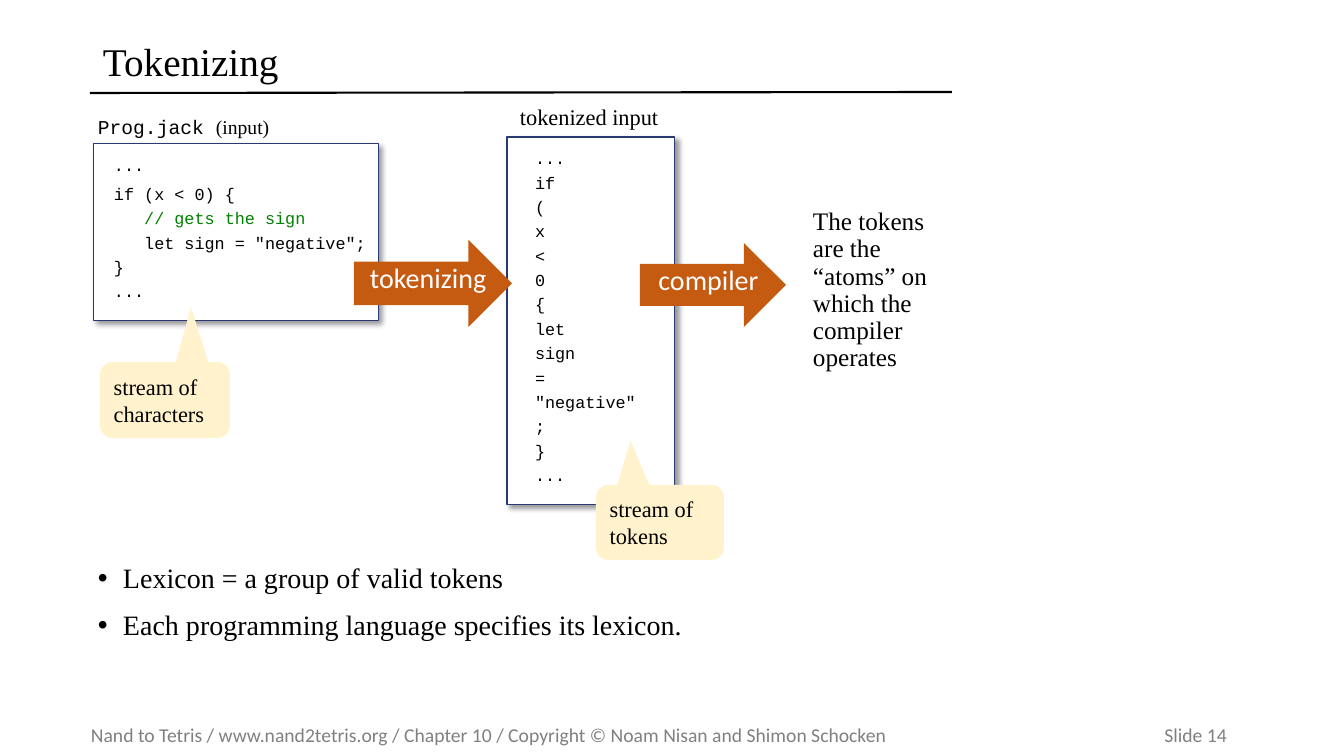
from lxml.etree import SubElement
from pptx import Presentation
from pptx.dml.color import RGBColor
from pptx.enum.shapes import MSO_CONNECTOR, MSO_SHAPE
from pptx.enum.text import MSO_ANCHOR, PP_ALIGN
from pptx.oxml.ns import qn
from pptx.util import Emu, Pt

BLACK = RGBColor(0x00, 0x00, 0x00)
WHITE = RGBColor(0xFF, 0xFF, 0xFF)
GRAY = RGBColor(0x80, 0x80, 0x80)
GREEN = RGBColor(0x00, 0x80, 0x00)
NAVY = RGBColor(0x29, 0x39, 0x73)
ORANGE = RGBColor(0xC5, 0x5A, 0x11)
CREAM = RGBColor(0xFF, 0xF2, 0xCC)
SERIF, MONO, SANS = "Times New Roman", "Courier New", "Calibri"

TITLE = "Tokenizing"
SOURCE_CODE = [
    "...",
    "if (x < 0) {",
    "   // gets the sign",
    '   let sign = "negative";',
    "}",
    "...",
]
TOKENS = ["...", "if", "(", "x", "<", "0", "{", "let", "sign", "=",
          '"negative"', ";", "}", "..."]
BULLETS = ["Lexicon = a group of valid tokens",
           "Each programming language specifies its lexicon."]
NOTE = "The tokens\nare the “atoms” on which the compiler operates"
FOOTER = ("Nand to Tetris / www.nand2tetris.org / Chapter 10 / "
          "Copyright © Noam Nisan and Shimon Schocken\tSlide 14")

# text, box in px, callout tip
SOURCE_CALLOUT = ("stream of characters", (100, 362, 130, 76), (0.2, -1.22))
TOKEN_CALLOUT = ("stream of tokens", (596, 485, 128, 75), (-0.23, -1.09))
TOKENIZING_ARROW = ("tokenizing", (354, 240, 158, 87))
COMPILER_ARROW = ("compiler", (640, 243, 146, 84))

PX_PER_INCH = 100.8


def px(n):
    return Emu(round(n * 914400 / PX_PER_INCH))


def fill_text(shape, lines, size, font=SERIF, color=BLACK, anchor=MSO_ANCHOR.TOP,
              inset=(10, 5, 10, 5), spacing=None, before=0, after=0):
    """Write one paragraph per line; inset is left, top, right, bottom in px."""
    tf = shape.text_frame
    tf.word_wrap = True
    tf.vertical_anchor = anchor
    tf.margin_left, tf.margin_top, tf.margin_right, tf.margin_bottom = map(px, inset)
    for i, line in enumerate(lines):
        p = tf.add_paragraph() if i else tf.paragraphs[0]
        p.text = line
        p.alignment = PP_ALIGN.LEFT
        p.line_spacing = spacing
        p.space_before = Pt(before if i else 0)
        p.space_after = Pt(after)
        for r in p.runs:
            style(r, size, font, color)
    return tf


def style(r, size, font, color):
    r.font.size, r.font.name = Pt(size), font
    r.font.color.rgb = color


def add_text(s, box, lines, size, **options):
    return fill_text(s.shapes.add_textbox(*map(px, box)), lines, size, **options)


def add_panel(s, kind, box, fill):
    sp = s.shapes.add_shape(kind, *map(px, box))
    sp.shadow.inherit = False
    sp.fill.solid()
    sp.fill.fore_color.rgb = fill
    sp.line.fill.background()
    return sp


def add_code_box(s, box, lines, inset, **options):
    sp = add_panel(s, MSO_SHAPE.RECTANGLE, box, WHITE)
    sp.line.color.rgb = NAVY
    sp.line.width = Pt(0.75)
    effects = sp._element.spPr.find(qn("a:effectLst"))
    shadow = SubElement(effects, qn("a:outerShdw"), blurRad=str(Pt(4)),
                        dist=str(Pt(3)), dir=str(45 * 60000), algn="tl")
    tint = SubElement(shadow, qn("a:srgbClr"), val=str(BLACK))
    SubElement(tint, qn("a:alpha"), val="40000")
    return fill_text(sp, lines, 12, font=MONO, inset=inset, **options)


def add_callout(s, text, box, tip):
    sp = add_panel(s, MSO_SHAPE.ROUNDED_RECTANGULAR_CALLOUT, box, CREAM)
    sp.adjustments[0], sp.adjustments[1] = tip
    fill_text(sp, [text], 16, anchor=MSO_ANCHOR.MIDDLE)


def add_arrow(s, text, box):
    sp = add_panel(s, MSO_SHAPE.RIGHT_ARROW, box, ORANGE)
    tf = fill_text(sp, [text], 20, font=SANS, color=WHITE, anchor=MSO_ANCHOR.MIDDLE,
                   inset=(12, 5, 0, 5), spacing=Pt(15.2))
    tf.paragraphs[0].alignment = PP_ALIGN.CENTER


def add_footer(s):
    tf = add_text(s, (91, 718, 1235, 34), [FOOTER], 14, font=SANS, color=GRAY,
                  anchor=MSO_ANCHOR.MIDDLE, inset=(0, 5, 0, 5))
    tabs = SubElement(tf.paragraphs[0]._p.get_or_add_pPr(), qn("a:tabLst"))
    SubElement(tabs, qn("a:tab"), pos=str(px(1136)), algn="r")


def add_rule(s):
    line = s.shapes.add_connector(MSO_CONNECTOR.STRAIGHT, *map(px, (90, 93, 952, 92)))
    line.line.color.rgb = BLACK
    line.line.width = Pt(1.5)
    SubElement(line._element.spPr, qn("a:effectLst"))


def add_source(s):
    tf = add_code_box(s, (94, 144, 285, 177), SOURCE_CODE, (20, 11, 0, 21), before=3)
    tf.paragraphs[0].space_after = Pt(3)
    tf.paragraphs[2].runs[0].font.color.rgb = GREEN
    label = add_text(s, (88, 110, 267, 42), ["Prog.jack "], 14, font=MONO)
    r = label.paragraphs[0].add_run()
    r.text = "(input)"
    style(r, 14, SERIF, BLACK)


def add_bullets(s):
    tf = add_text(s, (88, 559, 864, 144), BULLETS, 20, spacing=0.9, before=12)
    for p in tf.paragraphs:
        pPr = p._p.get_or_add_pPr()
        pPr.set("marL", str(px(25)))
        pPr.set("indent", str(-px(25)))
        SubElement(pPr, qn("a:buFont"), typeface="Arial")
        SubElement(pPr, qn("a:buChar"), char="•")


def main():
    prs = Presentation()
    prs.slide_width, prs.slide_height = px(1344), px(756)
    s = prs.slides.add_slide(prs.slide_layouts[6])
    add_footer(s)
    add_rule(s)
    add_source(s)
    add_text(s, (93, 32, 860, 64), [TITLE], 28, anchor=MSO_ANCHOR.MIDDLE, spacing=0.9)
    add_callout(s, *SOURCE_CALLOUT)
    add_bullets(s)
    add_code_box(s, (507, 137, 168, 368), TOKENS, (28, 11, 0, 11), after=3)
    add_text(s, (510, 98, 172, 37), ["tokenized input"], 16)
    add_arrow(s, *TOKENIZING_ARROW)
    add_callout(s, *TOKEN_CALLOUT)
    add_arrow(s, *COMPILER_ARROW)
    add_text(s, (803, 204, 168, 144), [NOTE], 18, spacing=0.9)
    prs.save("out.pptx")


if __name__ == "__main__":
    main()
